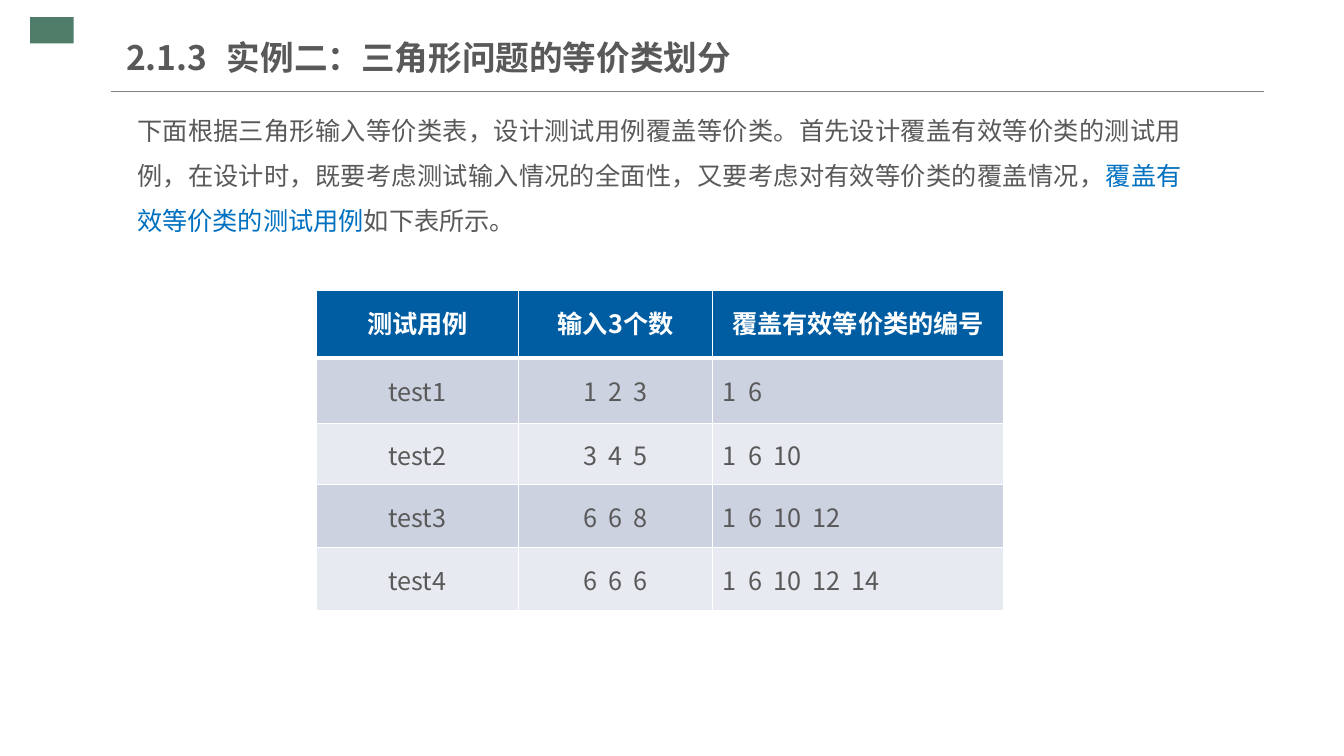
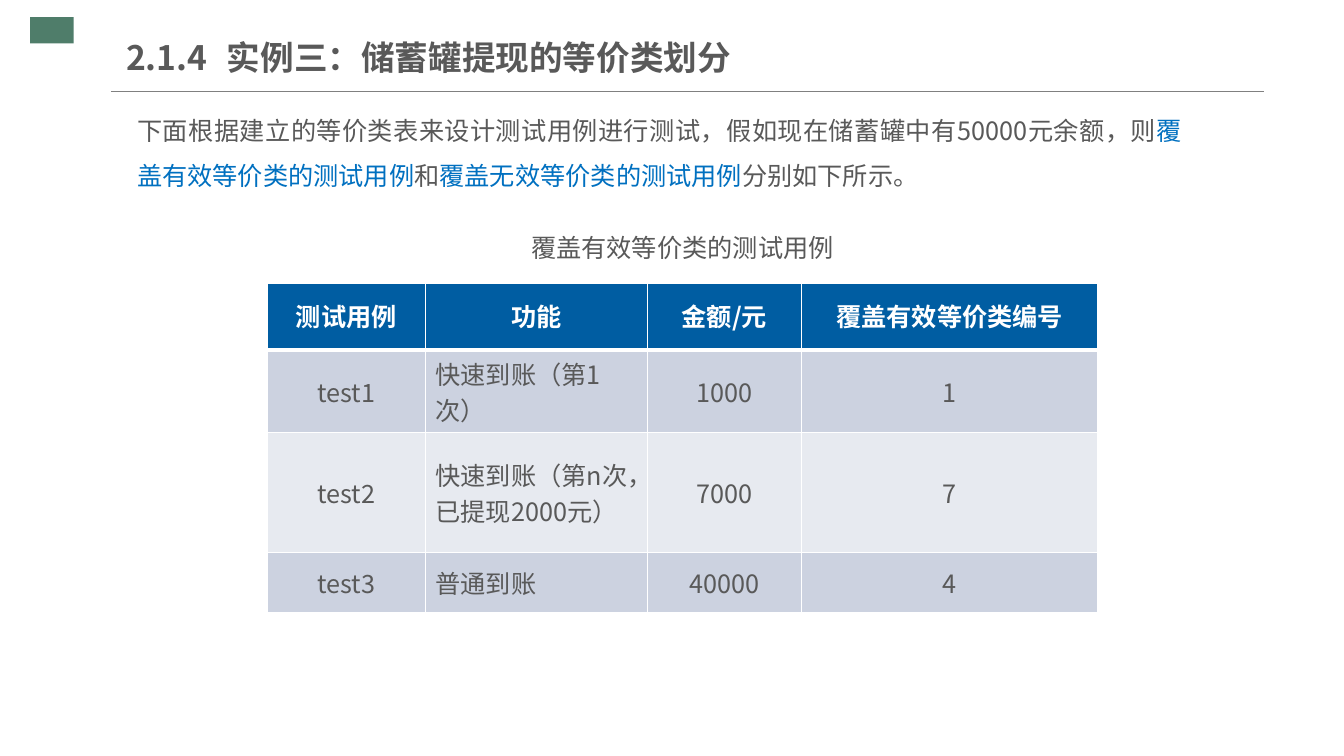
from lxml import etree
from pptx import Presentation
from pptx import util as u
from pptx.dml import color
from pptx.enum import shapes, text
from pptx.oxml import ns

PX = 9144
FONT = "Noto Sans CJK SC"
COLORS = {
    "paper": "FFFFFF",
    "badge": "4F7D6A",
    "rule": "808080",
    "body": "595959",
    "accent": "0070C0",
    "header": "005DA2",
    "odd": "CCD2E0",
    "even": "E7EAF0",
}
ALIGN = text.PP_ALIGN
MIDDLE = text.MSO_ANCHOR.MIDDLE
TITLE_FONT = {"size": u.Pt(24), "bold": True}
BODY_FONT = {"size": u.Pt(18), "bold": False}
HEADER_FONT = {"size": u.Pt(18), "bold": True}
TITLE_FRAME = {"margin_left": 0, "margin_right": 0, "margin_top": 7 * PX,
               "margin_bottom": 7 * PX, "vertical_anchor": MIDDLE}
INTRO_FRAME = {"margin_left": 13 * PX, "margin_right": 13 * PX,
               "margin_top": 7 * PX, "margin_bottom": 7 * PX}


def px(*values):
    return [u.Emu(value * PX) for value in values]


def rgb(name):
    return color.RGBColor.from_string(COLORS[name])


def apply(target, values):
    for name, value in values.items():
        setattr(target, name, value)


def add_child(parent, tag, **attributes):
    return etree.SubElement(parent, ns.qn(tag), **attributes)


def write_spans(para, spans, font, layout):
    apply(para, layout)
    for words, tint in spans:
        span = para.add_run()
        span.text = words
        apply(span.font, {"name": FONT, **font})
        span.font.color.rgb = rgb(tint)
        add_child(span.font._element, "a:ea", typeface=FONT)


def add_text(page, place, spans, font=BODY_FONT, frame={}, layout={}):
    box = page.shapes.add_textbox(*px(*place))
    apply(box.text_frame, {"word_wrap": True, **frame})
    para = box.text_frame.paragraphs[0]
    write_spans(para, spans, font, layout)
    return para


def add_title(page, number, title):
    para = add_text(page, (125, 29, 705, 55), [(f"{number}\t{title}", "body")],
                    TITLE_FONT, TITLE_FRAME)
    tabs = etree.Element(ns.qn("a:tabLst"))
    add_child(tabs, "a:tab", pos=str(100 * PX), algn="l")
    para._p.get_or_add_pPr().append(tabs)


def add_intro(page, height, spans):
    add_text(page, (123, 92, 1062, height), spans, frame=INTRO_FRAME,
             layout={"alignment": ALIGN.JUSTIFY, "line_spacing": 1.5})


def add_page(deck, number, title):
    page = deck.slides.add_slide(deck.slide_layouts[6])
    badge = page.shapes.add_shape(shapes.MSO_SHAPE.RECTANGLE, *px(30, 17, 43, 26))
    badge.shadow.inherit = False
    badge.fill.solid()
    badge.fill.fore_color.rgb = rgb("badge")
    badge.line.fill.background()
    rule = page.shapes.add_connector(shapes.MSO_CONNECTOR.STRAIGHT,
                                     *px(110, 91, 1254, 91))
    rule.line.color.rgb = rgb("rule")
    rule.line.width = u.Pt(0.75)
    add_child(rule._element.spPr, "a:effectLst")
    add_title(page, number, title)
    return page


def add_border(cell, side, width):
    line = add_child(cell._tc.get_or_add_tcPr(), f"a:ln{side}", w=str(u.Pt(width)))
    add_child(add_child(line, "a:solidFill"), "a:srgbClr", val=COLORS["paper"])


def fill_cell(cell, words, row, left_aligned):
    header = row == 0
    widths = {"L": 1, "R": 1, "T": 3 if row == 1 else 1, "B": 3 if header else 1}
    for side, width in widths.items():
        add_border(cell, side, width)
    cell.fill.solid()
    cell.fill.fore_color.rgb = rgb("header" if header else "odd" if row % 2 else "even")
    cell.vertical_anchor = MIDDLE
    layout = {"alignment": ALIGN.LEFT if left_aligned and not header else ALIGN.CENTER,
              "line_spacing": 0.9 if header else 1.0}
    write_spans(cell.text_frame.paragraphs[0], [(words, "paper" if header else "body")],
                HEADER_FONT if header else BODY_FONT, layout)


def add_table(page, left, top, widths, heights, rows, left_column):
    table = page.shapes.add_table(len(heights), len(widths),
                                  *px(left, top, sum(widths), sum(heights))).table
    for column, width in zip(table.columns, widths):
        column.width = u.Emu(width * PX)
    for line, height in zip(table.rows, heights):
        line.height = u.Emu(height * PX)
    for row, values in enumerate(rows):
        for column, words in enumerate(values):
            fill_cell(table.cell(row, column), words, row, column == left_column)


def build_triangle_page(deck):
    page = add_page(deck, "2.1.3", "实例二：三角形问题的等价类划分")
    add_intro(page, 148, [
        ("下面根据三角形输入等价类表，设计测试用例覆盖等价类。首先设计覆盖有效等价类的测试用例，"
         "在设计时，既要考虑测试输入情况的全面性，又要考虑对有效等价类的覆盖情况，", "body"),
        ("覆盖有效等价类的测试用例", "accent"),
        ("如下表所示。", "body"),
    ])
    add_table(page, 314, 288, (200, 193, 288), (67, 65, 61, 62, 63), [
        ("测试用例", "输入3个数", "覆盖有效等价类的编号"),
        ("test1", "1  2  3", "1  6"),
        ("test2", "3  4  5", "1  6  10"),
        ("test3", "6  6  8", "1  6  10  12"),
        ("test4", "6  6  6", "1  6  10  12  14"),
    ], left_column=2)


def build_withdrawal_page(deck):
    page = add_page(deck, "2.1.4", "实例三：储蓄罐提现的等价类划分")
    add_intro(page, 121, [
        ("下面根据建立的等价类表来设计测试用例进行测试，假如现在储蓄罐中有50000元余额，则", "body"),
        ("覆盖有效等价类的测试用例", "accent"),
        ("和", "body"),
        ("覆盖无效等价类的测试用例", "accent"),
        ("分别如下所示。", "body"),
    ])
    add_text(page, (517, 226, 334, 40), [("覆盖有效等价类的测试用例", "body")])
    add_table(page, 265, 281, (157, 220, 153, 294), (66, 82, 119, 60), [
        ("测试用例", "功能", "金额/元", "覆盖有效等价类编号"),
        ("test1", "快速到账（第1次）", "1000", "1"),
        ("test2", "快速到账（第n次，已提现2000元）", "7000", "7"),
        ("test3", "普通到账", "40000", "4"),
    ], left_column=1)


def main():
    deck = Presentation()
    deck.slide_width, deck.slide_height = px(1333, 750)
    build_triangle_page(deck)
    build_withdrawal_page(deck)
    deck.save("out.pptx")


if __name__ == "__main__":
    main()
